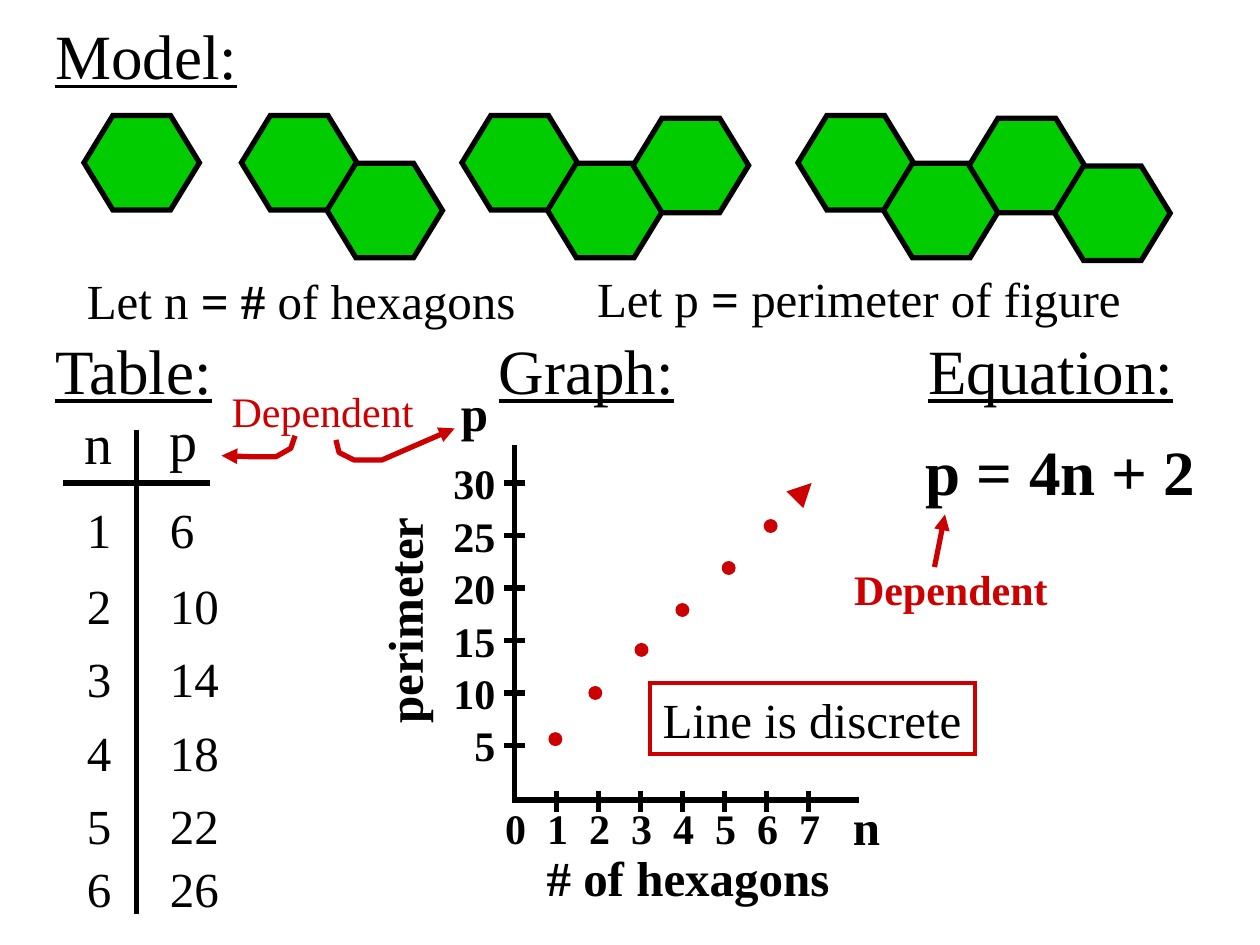
from typing import NamedTuple

from lxml import etree
from pptx import Presentation
from pptx.dml.color import RGBColor
from pptx.enum.shapes import MSO_CONNECTOR, MSO_SHAPE
from pptx.enum.text import MSO_ANCHOR, MSO_AUTO_SIZE, PP_ALIGN
from pptx.oxml.ns import qn
from pptx.util import Emu, Inches, Pt

LEFT, RIGHT = PP_ALIGN.LEFT, PP_ALIGN.RIGHT
TOP = MSO_ANCHOR.TOP
FIT = MSO_AUTO_SIZE.SHAPE_TO_FIT_TEXT
HEXAGON, OVAL, RECT = MSO_SHAPE.HEXAGON, MSO_SHAPE.OVAL, MSO_SHAPE.RECTANGLE
STRAIGHT = MSO_CONNECTOR.STRAIGHT

FONT = "Times New Roman"
BLACK, RED, GREEN = "000000", "CC0000", "00CC00"

# The slide is a grid of 120 columns by 90 rows of square cells.
COLS = 120
WIDE, HIGH = Inches(10), Inches(7.5)
CELL = WIDE / COLS

# Axes of the graph, in cells
ZERO, BASE = 49, 76.2
X_STEP, Y_STEP = 4, 5
Y_TOP = 46


class Label(NamedTuple):
    """Text at a cell; parts between asterisks are bold."""
    text: str
    col: float
    row: float
    wide: float
    size: int = 28
    color: str = BLACK
    under: bool = False
    turn: int = 0


class Stroke(NamedTuple):
    points: list
    color: str = BLACK
    width: float = 3
    arrow: bool = False


HEADS = [
    Label("Table:", 4.08, 30.96, 18.4, 36, under=True),
    Label("Graph:", 46.32, 30.96, 19.8, 36, under=True),
    Label("Equation:", 87.24, 30.96, 26.4, 36, under=True),
]
NOTES = [
    Label("Let n *= #* of hexagons", 7.08, 25.2, 44),
    Label("Let p *=* perimeter of figure", 55.68, 24.96, 53.2),
    Label("n", 6.84, 38.28, 5.6, 32),
    Label("p", 15, 38.04, 5.6, 32),
    Label("Dependent", 20.88, 36.12, 20.4, 24, RED),
    Label("*p*", 42.72, 35.88, 5.5),
    Label("*n*", 80.04, 75.24, 5.5),
    Label("*# of hexagons*", 50.88, 80.16, 30),
    Label("*perimeter*", 27.26, 55.56, 22.3, turn=270),
    Label("*p =*", 87, 40.56, 11.4, 36),
    Label("*4n + 2*", 96.84, 40.56, 19, 36),
    Label("*Dependent*", 80.16, 53.04, 21.8, 24, RED),
]
PAIRS = [(n, 4 * n + 2) for n in range(1, 7)]
PAIR_ROWS = [47, 54.2, 61.2, 68.2, 75.2, 81.2]
DOTS = [(52.9, 70.4), (56.7, 66), (61.1, 61.9), (65, 58.1), (69.4, 54.1), (73.4, 50.1)]
STROKES = [
    Stroke([(13, 41), (13, 87)]),
    Stroke([(6, Y_TOP), (20, Y_TOP)]),
    Stroke([(ZERO, 42.4), (ZERO, 76.3)]),
    Stroke([(48.8, BASE), (81.8, BASE)]),
    *(Stroke([(ZERO + X_STEP * i, 75.3), (ZERO + X_STEP * i, 77.3)]) for i in range(1, 8)),
    *(Stroke([(48, Y_TOP + Y_STEP * i), (50, Y_TOP + Y_STEP * i)]) for i in range(6)),
    Stroke([(28.1, 41.5), (27.7, 42.7), (26.3, 43.5), (23.8, 43.5), (21.1, 43.4)], RED, 3, True),
    Stroke([(32, 41.9), (32.3, 43.1), (33.7, 43.8), (36.4, 43.8), (43.3, 40.8)], RED, 3, True),
    Stroke([(76.3, 47), (77.3, 46)], RED, 4.5, True),
    Stroke([(89, 54), (90, 49)], RED, 3, True),
]


def cells(*counts: float) -> list:
    return [Emu(round(n * CELL)) for n in counts]


def tint(code: str) -> RGBColor:
    return RGBColor.from_string(code)


def apply(target, values: dict) -> None:
    for name, value in values.items():
        setattr(target, name, value)


def tall(size: int) -> float:
    """Rows needed by one line of text and its margins."""
    return size * 0.2 + 1.2


def write(par, label: Label) -> None:
    for i, part in enumerate(label.text.split("*")):
        if part:
            run = par.add_run()
            run.text = part
            apply(run.font, dict(name=FONT, size=Pt(label.size), bold=i % 2 == 1,
                                 underline=label.under))
            run.font.color.rgb = tint(label.color)


def place(shape, label: Label) -> None:
    """Move a shape to the label's cells and fill in its text."""
    left, top, width, height = cells(label.col, label.row, label.wide, tall(label.size))
    apply(shape, dict(left=left, top=top, width=width, height=height, rotation=label.turn))
    apply(shape.text_frame, dict(word_wrap=True, auto_size=FIT, vertical_anchor=TOP))
    par = shape.text_frame.paragraphs[0]
    par.alignment = LEFT
    write(par, label)


def add_label(slide, label: Label):
    box = slide.shapes.add_textbox(0, 0, 0, 0)
    place(box, label)
    return box


def add_form(slide, kind, at: tuple, fill: str, line: str, width: float):
    form = slide.shapes.add_shape(kind, *cells(*at))
    form.shadow.inherit = False
    if fill:
        form.fill.solid()
        form.fill.fore_color.rgb = tint(fill)
    else:
        form.fill.background()
    form.line.color.rgb = tint(line)
    form.line.width = Pt(width)
    edge = form._element.spPr.find(qn("a:ln"))
    etree.SubElement(edge, qn("a:miter"), lim="800000")
    return form


def add_stroke(slide, stroke: Stroke) -> None:
    spots = [cells(*point) for point in stroke.points]
    if len(spots) == 2:
        shape = slide.shapes.add_connector(STRAIGHT, *spots[0], *spots[1])
    else:
        pen = slide.shapes.build_freeform(*spots[0])
        pen.add_line_segments(spots[1:], close=False)
        shape = pen.convert_to_shape()
        shape.fill.background()
    shape.line.color.rgb = tint(stroke.color)
    shape.line.width = Pt(stroke.width)
    props = shape._element.spPr
    if stroke.arrow:
        etree.SubElement(props.find(qn("a:ln")), qn("a:tailEnd"), type="triangle")
    etree.SubElement(props, qn("a:effectLst"))


def add_models(slide) -> None:
    for count, start in enumerate((8, 23, 44, 76), 1):
        for i in range(count):
            at = (start + 8.15 * i, 11 + 4.55 * (i % 2) + 0.26 * (i // 2), 11, 9)
            form = add_form(slide, HEXAGON, at, GREEN, BLACK, 3)
            form.adjustments[0] = 0.306


def add_scales(slide) -> None:
    digits = "\t".join(str(n) for n in range(8))
    box = add_label(slide, Label(f"*{digits}*", 46.92, 75.84, 34, 24))
    props = box.text_frame.paragraphs[0]._p.get_or_add_pPr()
    tabs = etree.SubElement(props, qn("a:tabLst"))
    for n in range(1, 8):
        etree.SubElement(tabs, qn("a:tab"), pos=str(cells(X_STEP * n)[0]), algn="l")

    mark = Label("*30*", 41.4, 42.84, 6.96, 24)
    box = add_label(slide, mark)
    box.height = cells(31.2)[0]
    for n in range(25, 0, -5):
        write(box.text_frame.add_paragraph(), mark._replace(text=f"*{n}*"))
    for par in box.text_frame.paragraphs:
        apply(par, dict(alignment=RIGHT, line_spacing=1.04))


def main() -> None:
    deck = Presentation()
    apply(deck, dict(slide_width=WIDE, slide_height=HIGH))
    slide = deck.slides.add_slide(deck.slide_layouts[5])
    place(slide.shapes.title, Label("Model:", 4.08, 0.96, 20.6, 36, under=True))
    add_models(slide)
    for label in HEADS + NOTES:
        add_label(slide, label)
    for (n, p), row in zip(PAIRS, PAIR_ROWS):
        add_label(slide, Label(str(n), 7.08, row, 5.2))
        add_label(slide, Label(str(p), 15, row, 5.2 if p < 10 else 7.8))
    for stroke in STROKES:
        add_stroke(slide, stroke)
    add_scales(slide)
    for x, y in DOTS:
        add_form(slide, OVAL, (x - 0.6, y - 0.6, 1.2, 1.2), RED, RED, 0.75)
    note = Label("Line is discrete", 61.92, 65.04, 30.9)
    frame = add_form(slide, RECT, (note.col, note.row, note.wide, 6.8), "", RED, 2.25)
    place(frame, note)
    deck.save("out.pptx")


if __name__ == "__main__":
    main()
